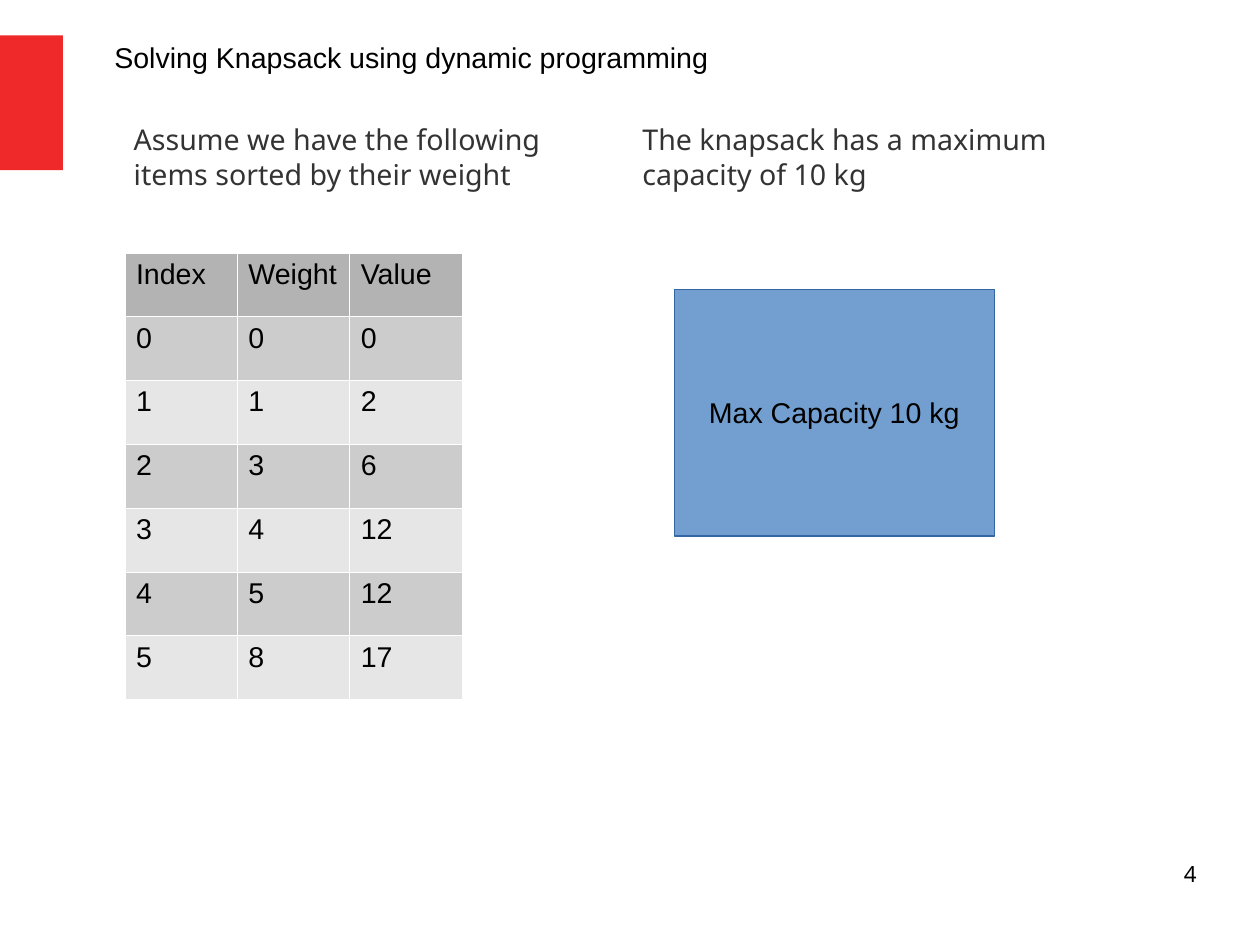
from dataclasses import dataclass

from pptx import Presentation
from pptx import util as u
from pptx.dml.color import RGBColor
from pptx.enum import shapes, text
from pptx.oxml import parse_xml
from pptx.oxml.ns import nsdecls

TITLE = "Solving Knapsack using dynamic programming"
NOTES = [
    "Assume we have the following items sorted by their weight",
    "The knapsack has a maximum capacity of 10 kg",
]
CAPACITY = "Max Capacity 10 kg"
PAGE_NUMBER = "4"
ITEMS = [
    ("Index", "Weight", "Value"),
    (0, 0, 0),
    (1, 1, 2),
    (2, 3, 6),
    (3, 4, 12),
    (4, 5, 12),
    (5, 8, 17),
]


@dataclass(frozen=True)
class Theme:
    sans: str = "Arial"
    humanist: str = "Noto Sans"
    size: int = 18
    small: int = 14
    ink: str = "000000"
    grey: str = "333333"
    accent: str = "EF2929"
    sack: str = "729FCF"
    sack_edge: str = "3465A4"
    header: str = "B3B3B3"
    bands: tuple = ("CCCCCC", "E6E6E6")
    rule: str = "FFFFFF"


THEME = Theme()
WIDTH_CM, HEIGHT_CM = 28, 21
NOTE_LEFT, NOTE_TOP, NOTE_WIDTH, NOTE_HEIGHT = 0.7, 1.07, 4.41, 0.93
NOTE_STEP = 4.45
NOTE_INDENT = 0.47
TABLE_LEFT, TABLE_TOP, TABLE_WIDTH, TABLE_HEIGHT = 1.09, 2.21, 2.95, 3.91
RULE_WIDTH = 0.06
INSETS = (0.1, 0.05)


def place(box, left, top, width, height):
    box.left, box.top = u.Inches(left), u.Inches(top)
    box.width, box.height = u.Inches(width), u.Inches(height)


def write(frame, content, font=THEME.sans, size=THEME.size, color=THEME.ink,
          align=text.PP_ALIGN.LEFT, anchor=text.MSO_ANCHOR.TOP, insets=INSETS,
          wrap=True, after=0):
    frame.word_wrap = wrap
    frame.auto_size = text.MSO_AUTO_SIZE.NONE
    frame.vertical_anchor = anchor
    frame.margin_left = frame.margin_right = u.Inches(insets[0])
    frame.margin_top = frame.margin_bottom = u.Inches(insets[1])
    para = frame.paragraphs[0]
    para.alignment = align
    para.line_spacing = 1.0
    para.space_before, para.space_after = u.Pt(0), u.Pt(after)
    span = para.add_run()
    span.text = str(content)
    span.font.name, span.font.size = font, u.Pt(size)
    span.font.color.rgb = RGBColor.from_string(color)
    return para


def add_block(page, left, top, width, height, fill, edge=None):
    box = page.shapes.add_shape(shapes.MSO_SHAPE.RECTANGLE, 0, 0, 0, 0)
    place(box, left, top, width, height)
    box.shadow.inherit = False
    box.fill.solid()
    box.fill.fore_color.rgb = RGBColor.from_string(fill)
    if edge:
        box.line.color.rgb = RGBColor.from_string(edge)
        box.line.width = u.Pt(0)
    else:
        box.line.fill.background()
    return box


def add_notes(page):
    for index, note in enumerate(NOTES):
        box = page.placeholders[index + 1]
        place(box, NOTE_LEFT + index * NOTE_STEP, NOTE_TOP, NOTE_WIDTH, NOTE_HEIGHT)
        para = write(box.text_frame, note, font=THEME.humanist, color=THEME.grey,
                     insets=(0, 0), after=9)
        props = para._p.get_or_add_pPr()
        props.set("marL", str(u.Inches(NOTE_INDENT)))
        props.set("indent", "0")
        props.append(parse_xml(f"<a:buNone {nsdecls('a')}/>"))


def style_cell(cell, value, fill):
    props = cell._tc.get_or_add_tcPr()
    for side in ("lnL", "lnR", "lnT", "lnB"):
        props.append(parse_xml(
            f'<a:{side} {nsdecls("a")} w="{u.Pt(RULE_WIDTH)}"><a:solidFill>'
            f'<a:srgbClr val="{THEME.rule}"/></a:solidFill></a:{side}>'))
    cell.fill.solid()
    cell.fill.fore_color.rgb = RGBColor.from_string(fill)
    cell.margin_left = cell.margin_right = u.Inches(INSETS[0])
    cell.margin_top = cell.margin_bottom = u.Inches(INSETS[1])
    para = cell.text_frame.paragraphs[0]
    span = para.add_run()
    span.text = str(value)
    span.font.name, span.font.size = THEME.sans, u.Pt(THEME.size)
    span.font.bold = False
    span.font.color.rgb = RGBColor.from_string(THEME.ink)


def add_items(page):
    rows, columns = len(ITEMS), len(ITEMS[0])
    table = page.shapes.add_table(
        rows, columns, u.Inches(TABLE_LEFT), u.Inches(TABLE_TOP),
        u.Inches(TABLE_WIDTH), u.Inches(TABLE_HEIGHT)).table
    for index, item in enumerate(ITEMS):
        fill = THEME.bands[(index - 1) % 2] if index else THEME.header
        for column, value in enumerate(item):
            style_cell(table.cell(index, column), value, fill)


def main():
    deck = Presentation()
    deck.slide_width, deck.slide_height = u.Cm(WIDTH_CM), u.Cm(HEIGHT_CM)
    page = deck.slides.add_slide(deck.slide_layouts.get_by_name("Two Content"))

    add_block(page, 0, 0.31, 0.55, 1.18, THEME.accent)
    place(page.shapes.title, 0.9, 0.3, 5.5, 0.38)
    write(page.shapes.title.text_frame, TITLE)
    add_notes(page)

    sack = add_block(page, 5.9, 2.53, 2.8, 2.16, THEME.sack, THEME.sack_edge)
    write(sack.text_frame, CAPACITY, align=text.PP_ALIGN.CENTER,
          anchor=text.MSO_ANCHOR.MIDDLE, wrap=False)
    add_items(page)

    number = page.shapes.add_textbox(0, 0, 0, 0)
    place(number, 7.9, 7.53, 2.57, 0.57)
    write(number.text_frame, PAGE_NUMBER, font=THEME.humanist, size=THEME.small,
          align=text.PP_ALIGN.RIGHT, insets=(0, 0))
    deck.save("out.pptx")


if __name__ == "__main__":
    main()
